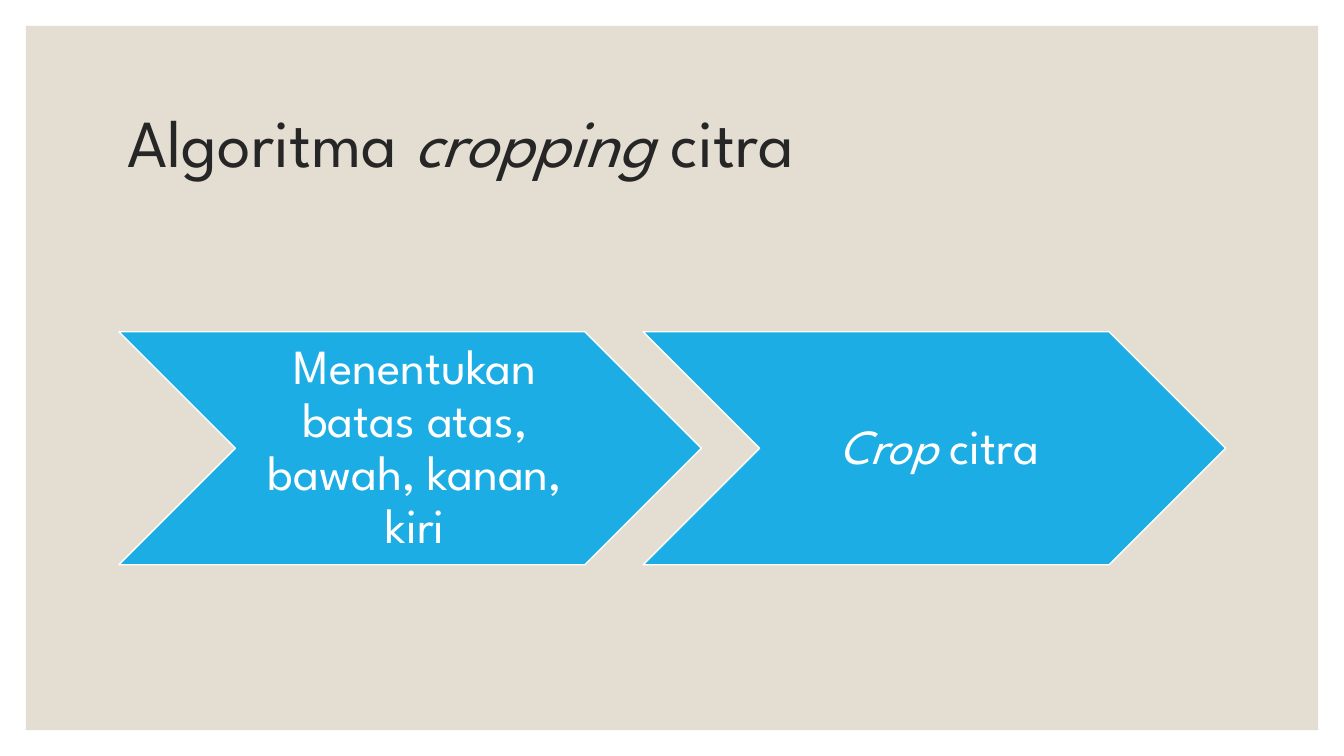
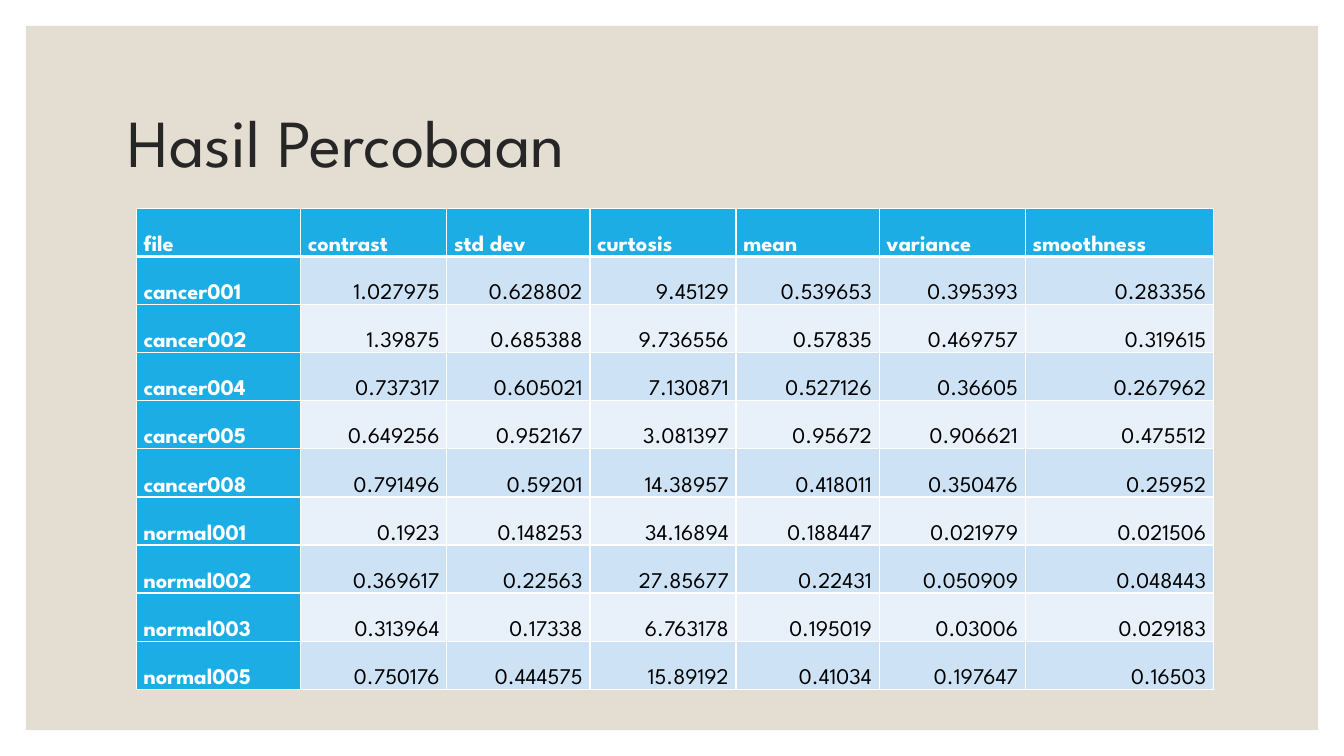
import pptx
import pptx.dml.color
import pptx.enum.shapes
import pptx.enum.text
import pptx.oxml
import pptx.oxml.ns
import pptx.util

Pt = pptx.util.Pt
ALIGN = pptx.enum.text.PP_ALIGN
ANCHOR = pptx.enum.text.MSO_ANCHOR
SHAPE = pptx.enum.shapes.MSO_SHAPE

# Shared look
FONT = "League Spartan"
WHITE, BLACK, INK = "FFFFFF", "000000", "262626"
SAND, BLUE = "E3DED1", "1CADE4"
BANDS = ("CDE3F5", "E8F1FA")
PAGE_WIDTH, PAGE_HEIGHT = 960, 540
FRAME = 18.5

# Content: a text is a list of (words, italic) spans
STEPS = [
    [("Menentukan batas atas, bawah, kanan, kiri", False)],
    [("Crop ", True), ("citra", False)],
]
COLUMN_WIDTHS = [117.4, 104.4, 102.2, 104.4, 102.2, 104.4, 134.4]
RESULTS = [
    ["file", "contrast", "std dev", "curtosis", "mean", "variance", "smoothness"],
    ["cancer001", "1.027975", "0.628802", "9.45129", "0.539653", "0.395393", "0.283356"],
    ["cancer002", "1.39875", "0.685388", "9.736556", "0.57835", "0.469757", "0.319615"],
    ["cancer004", "0.737317", "0.605021", "7.130871", "0.527126", "0.36605", "0.267962"],
    ["cancer005", "0.649256", "0.952167", "3.081397", "0.95672", "0.906621", "0.475512"],
    ["cancer008", "0.791496", "0.59201", "14.38957", "0.418011", "0.350476", "0.25952"],
    ["normal001", "0.1923", "0.148253", "34.16894", "0.188447", "0.021979", "0.021506"],
    ["normal002", "0.369617", "0.22563", "27.85677", "0.22431", "0.050909", "0.048443"],
    ["normal003", "0.313964", "0.17338", "6.763178", "0.195019", "0.03006", "0.029183"],
    ["normal005", "0.750176", "0.444575", "15.89192", "0.41034", "0.197647", "0.16503"],
]


def color(value):
    return pptx.dml.color.RGBColor.from_string(value)


def place(box, left, top, width, height):
    box.left, box.top, box.width, box.height = map(Pt, (left, top, width, height))


def paint(target, value):
    target.fill.solid()
    target.fill.fore_color.rgb = color(value)


def write(para, spans, size, ink, align, spacing=0.9, bold=False):
    para.alignment = align
    para.line_spacing = spacing
    font = para.font
    font.name, font.size, font.bold = FONT, Pt(size), bold
    font.color.rgb = color(ink)
    for words, italic in spans:
        span = para.add_run()
        span.text = words
        if italic:
            span.font.italic = True


def add_block(page, kind, left, top, width, height, fill):
    block = page.shapes.add_shape(kind, *map(Pt, (left, top, width, height)))
    block.shadow.inherit = False
    paint(block, fill)
    block.line.fill.background()
    return block


def add_page(deck, title_spans):
    page = deck.slides.add_slide(deck.slide_layouts[5])
    title = page.shapes.title
    # Sand panel behind everything
    panel = add_block(page, SHAPE.RECTANGLE, FRAME, FRAME,
                      PAGE_WIDTH - 2 * FRAME, PAGE_HEIGHT - 2 * FRAME, SAND)
    title.element.addprevious(panel.element)
    # Title
    place(title, 84, 50.4, 792, 108)
    frame = title.text_frame
    frame.auto_size = pptx.enum.text.MSO_AUTO_SIZE.NONE
    frame.vertical_anchor = ANCHOR.MIDDLE
    write(frame.paragraphs[0], title_spans, 48, INK, ALIGN.LEFT)
    return page


def add_step(page, left, top, width, height, spans):
    step = add_block(page, SHAPE.CHEVRON, left, top, width, height, BLUE)
    step.line.color.rgb = color(WHITE)
    step.line.width = Pt(1)
    frame = step.text_frame
    frame.word_wrap = True
    frame.vertical_anchor = ANCHOR.MIDDLE
    frame.margin_left = Pt(10.8)
    frame.margin_top = frame.margin_right = frame.margin_bottom = Pt(3.6)
    write(frame.paragraphs[0], spans, 35, WHITE, ALIGN.CENTER)


def set_borders(cell, widths):
    """Draw white left, right, top and bottom borders; they precede the fill."""
    properties = cell._tc.get_or_add_tcPr()
    for index, (side, width) in enumerate(zip("LRTB", widths)):
        properties.insert(index, pptx.oxml.parse_xml(
            f'<a:ln{side} {pptx.oxml.ns.nsdecls("a")} w="{Pt(width)}"><a:solidFill>'
            f'<a:srgbClr val="{WHITE}"/></a:solidFill></a:ln{side}>'))


def fill_cell(cell, words, row, column):
    heading = row == 0 or column == 0
    cell.margin_left = cell.margin_right = Pt(5.2)
    cell.margin_top = cell.margin_bottom = 0
    cell.vertical_anchor = ANCHOR.BOTTOM
    paint(cell, BLUE if heading else BANDS[(row - 1) % 2])
    set_borders(cell, (1, 1, 3 if row == 1 else 1, 3 if row == 0 else 1))
    write(cell.text_frame.paragraphs[0], [(words, False)], 16,
          WHITE if heading else BLACK, ALIGN.LEFT if heading else ALIGN.RIGHT,
          spacing=1.07, bold=heading)


def add_results(page, left, top, row_height):
    holder = page.shapes.add_table(
        len(RESULTS), len(COLUMN_WIDTHS), Pt(left), Pt(top),
        Pt(sum(COLUMN_WIDTHS)), Pt(row_height * len(RESULTS)))
    table = holder.table
    table.first_col = True
    for column, width in zip(table.columns, COLUMN_WIDTHS):
        column.width = Pt(width)
    for row, values in enumerate(RESULTS):
        table.rows[row].height = Pt(row_height)
        for column, words in enumerate(values):
            fill_cell(table.cell(row, column), words, row, column)


def main():
    deck = pptx.Presentation()
    deck.slide_width, deck.slide_height = Pt(PAGE_WIDTH), Pt(PAGE_HEIGHT)

    # Cropping algorithm: chevrons overlap by a tenth of their width
    page = add_page(deck, [("Algoritma ", False), ("cropping ", True), ("citra", False)])
    width = 416
    for index, spans in enumerate(STEPS):
        add_step(page, 85 + index * 0.9 * width, 237, width, 0.4 * width, spans)

    # Experiment results
    page = add_page(deck, [("Hasil Percobaan", False)])
    add_results(page, 97.4, 149, 34.35)

    deck.save("out.pptx")


if __name__ == "__main__":
    main()
